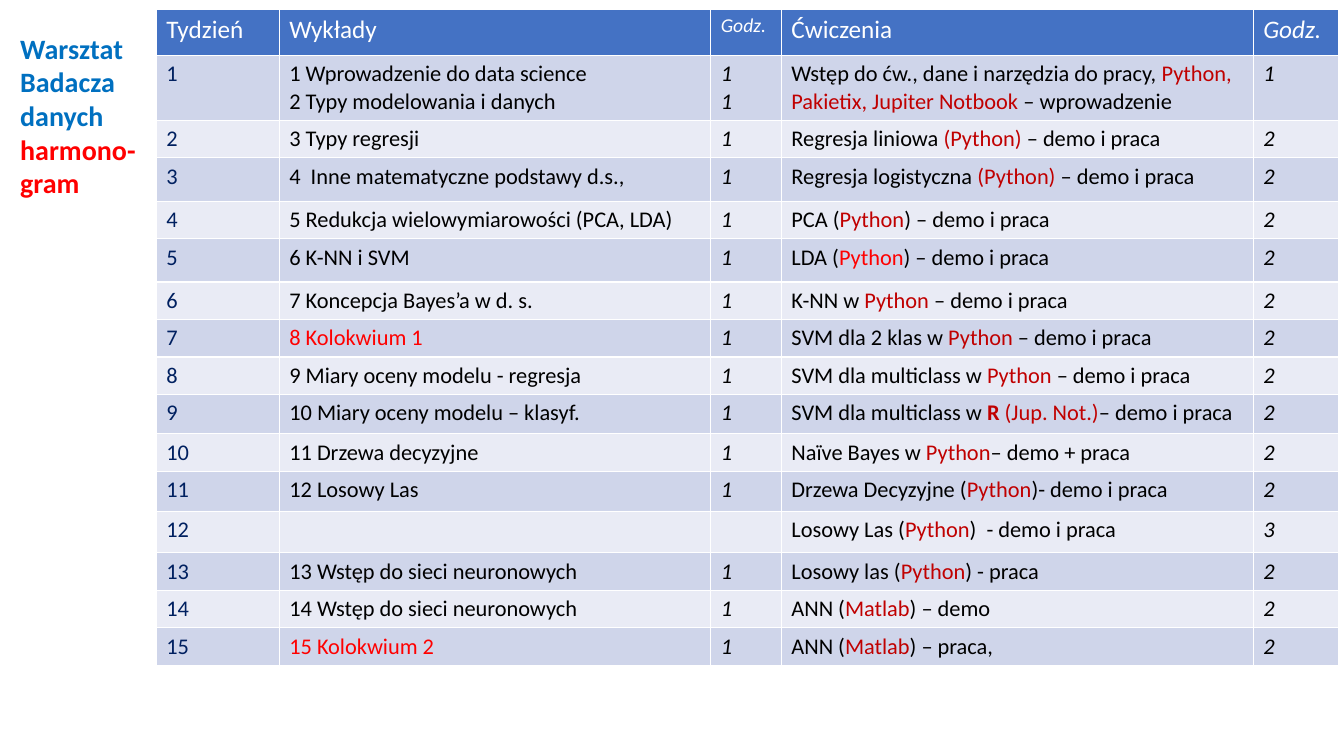
from pptx import Presentation
from pptx.dml.color import RGBColor
from pptx.enum.text import MSO_ANCHOR, MSO_AUTO_SIZE, PP_ALIGN
from pptx.util import Inches, Pt

TOP, LEFT, FIXED = MSO_ANCHOR.TOP, PP_ALIGN.LEFT, MSO_AUTO_SIZE.NONE
WIDE, HIGH = 13.33, 7.5
TITLE_ONLY = 5

WHITE, BLACK, NAVY, SKY = "FFFFFF", "000000", "002060", "0070C0"
RED, WINE, HEAD = "FF0000", "C00000", "4472C4"
BANDS = "CFD5EA", "E9EBF5"

PY, MAT = ("Python", WINE), ("Matlab", WINE)
DEMO = " – demo i praca"

COLS = [1.22, 4.28, 0.7, 4.68, 0.85]
ROWS = [0.46, 0.64, 0.37, 0.43, 0.37, 0.43, 0.37, 0.37,
        0.37, 0.39, 0.37, 0.4, 0.41, 0.37, 0.37, 0.37]
HEADS = ["Tydzień", "Wykłady", "Godz.", "Ćwiczenia", "Godz."]

# Each week: lecture, its hours, runs of the exercise, its hours
WEEKS = [
    ("1 Wprowadzenie do data science\n2 Typy modelowania i danych", "1\n1",
     ["Wstęp do ćw., dane i narzędzia do pracy, ",
      ("Python, Pakietix, Jupiter Notbook ", WINE), "– wprowadzenie"], "1"),
    ("3 Typy regresji", "1",
     ["Regresja liniowa ", ("(Python) ", WINE), "– demo i praca"], "2"),
    ("4  Inne matematyczne podstawy d.s.,", "1",
     ["Regresja logistyczna ", ("(Python) ", WINE), "– demo i praca"], "2"),
    ("5 Redukcja wielowymiarowości (PCA, LDA)", "1",
     ["PCA (", PY, ")" + DEMO], "2"),
    ("6 K-NN i SVM", "1", ["LDA (", ("Python", RED), ")" + DEMO], "2"),
    ("7 Koncepcja Bayes’a w d. s.", "1", ["K-NN w ", PY, DEMO], "2"),
    ("8 Kolokwium 1", "1", ["SVM dla 2 klas w ", PY, DEMO], "2"),
    ("9 Miary oceny modelu - regresja", "1",
     ["SVM dla multiclass w ", PY, DEMO], "2"),
    ("10 Miary oceny modelu – klasyf.", "1",
     ["SVM dla multiclass w ", ("R", WINE, True), (" (Jup. Not.)", WINE),
      "– demo i praca"], "2"),
    ("11 Drzewa decyzyjne", "1",
     ["Naïve Bayes w ", PY, "– demo + praca"], "2"),
    ("12 Losowy Las", "1",
     ["Drzewa Decyzyjne (", PY, ")- demo i praca"], "2"),
    ("", "", ["Losowy Las (", PY, ")  - demo i praca"], "3"),
    ("13 Wstęp do sieci neuronowych", "1",
     ["Losowy las (", PY, ") - praca"], "2"),
    ("14 Wstęp do sieci neuronowych", "1", ["ANN (", MAT, ") – demo"], "2"),
    ("15 Kolokwium 2", "1", ["ANN (", MAT, ") – praca,"], "2"),
]


def paint(code):
    return RGBColor.from_string(code)


class Deck:
    """Holds the font and the current slide; boxes are shares of the slide."""

    def __init__(self, face):
        self.face = face
        self.show = Presentation()
        self.show.slide_width = Inches(WIDE)
        self.show.slide_height = Inches(HIGH)
        self.slide = self.show.slides.add_slide(
            self.show.slide_layouts[TITLE_ONLY])

    def place(self, x, y, w, h):
        wide, high = self.show.slide_width, self.show.slide_height
        return int(x * wide), int(y * high), int(w * wide), int(h * high)

    def style(self, run, size, color, bold=False, slant=False):
        font = run.font
        font.name, font.size = self.face, Pt(size)
        font.bold, font.italic = bold, slant
        font.color.rgb = paint(color)

    def fill_runs(self, para, parts, size, color, bold=False):
        """Add runs; a part is a text, or a text with its colour and weight."""
        for part in parts:
            text, tint, heavy = part, color, bold
            if not isinstance(part, str):
                text, tint, heavy = (*part, bold)[:3]
            run = para.add_run()
            run.text = text
            self.style(run, size, tint, heavy)

    def title(self, box, parts, size, color):
        shape = self.slide.shapes.title
        shape.left, shape.top, shape.width, shape.height = self.place(*box)
        frame = shape.text_frame
        frame.word_wrap, frame.auto_size = True, FIXED
        frame.vertical_anchor = TOP
        para = frame.paragraphs[0]
        para.alignment = LEFT
        self.fill_runs(para, parts, size, color, True)

    def table(self, box, cols, rows):
        x, y, w, h = self.place(*box)
        grid = self.slide.shapes.add_table(
            len(rows), len(cols), x, y, w, h).table
        for col, part in zip(grid.columns, cols):
            col.width = int(w * part / sum(cols))
        for row, part in zip(grid.rows, rows):
            row.height = int(h * part / sum(rows))
        return grid

    def cell(self, cell, text, fill, size, color, slant=False):
        cell.fill.solid()
        cell.fill.fore_color.rgb = paint(fill)
        if isinstance(text, list):
            self.fill_runs(cell.text_frame.paragraphs[0], text, size, color)
            return
        cell.text_frame.text = text
        for para in cell.text_frame.paragraphs:
            for run in para.runs:
                self.style(run, size, color, slant=slant)


def main():
    deck = Deck("Calibri")
    deck.title((0.1 / WIDE, 0.26 / HIGH, 1.42 / WIDE, 1.78 / HIGH),
               ["Warsztat Badacza danych ", ("harmono-gram", RED)], 20, SKY)
    plan = deck.table(
        (1.55 / WIDE, 0.09 / HIGH, sum(COLS) / WIDE, sum(ROWS) / HIGH),
        COLS, ROWS)
    for col, name in enumerate(HEADS):
        deck.cell(plan.cell(0, col), name, HEAD, 14 if col == 2 else 18,
                  WHITE, name == "Godz.")
    for week, entry in enumerate(WEEKS, 1):
        test = RED if "Kolokwium" in entry[0] else BLACK
        inks = NAVY, test, BLACK, BLACK, BLACK
        for col, text in enumerate((str(week), *entry)):
            deck.cell(plan.cell(week, col), text, BANDS[(week - 1) % 2], 16,
                      inks[col], HEADS[col] == "Godz.")
    deck.show.save("out.pptx")


if __name__ == "__main__":
    main()
